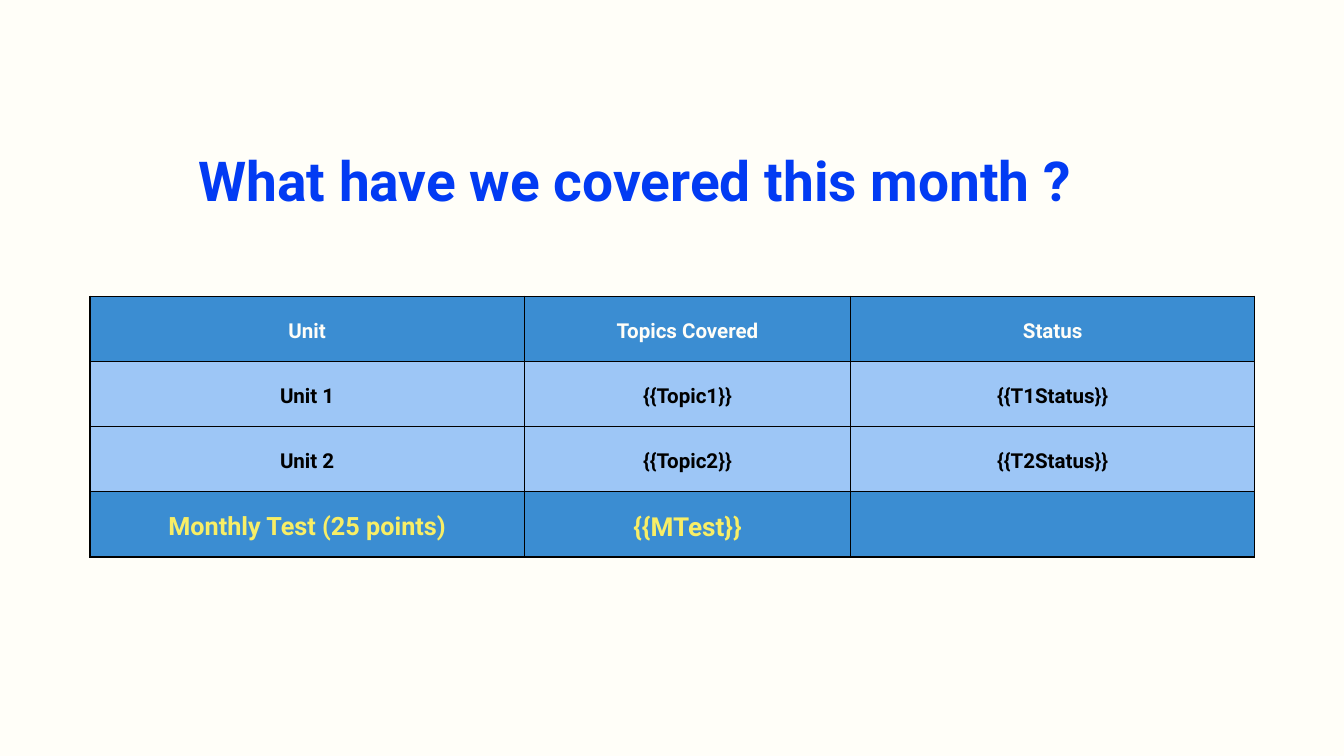
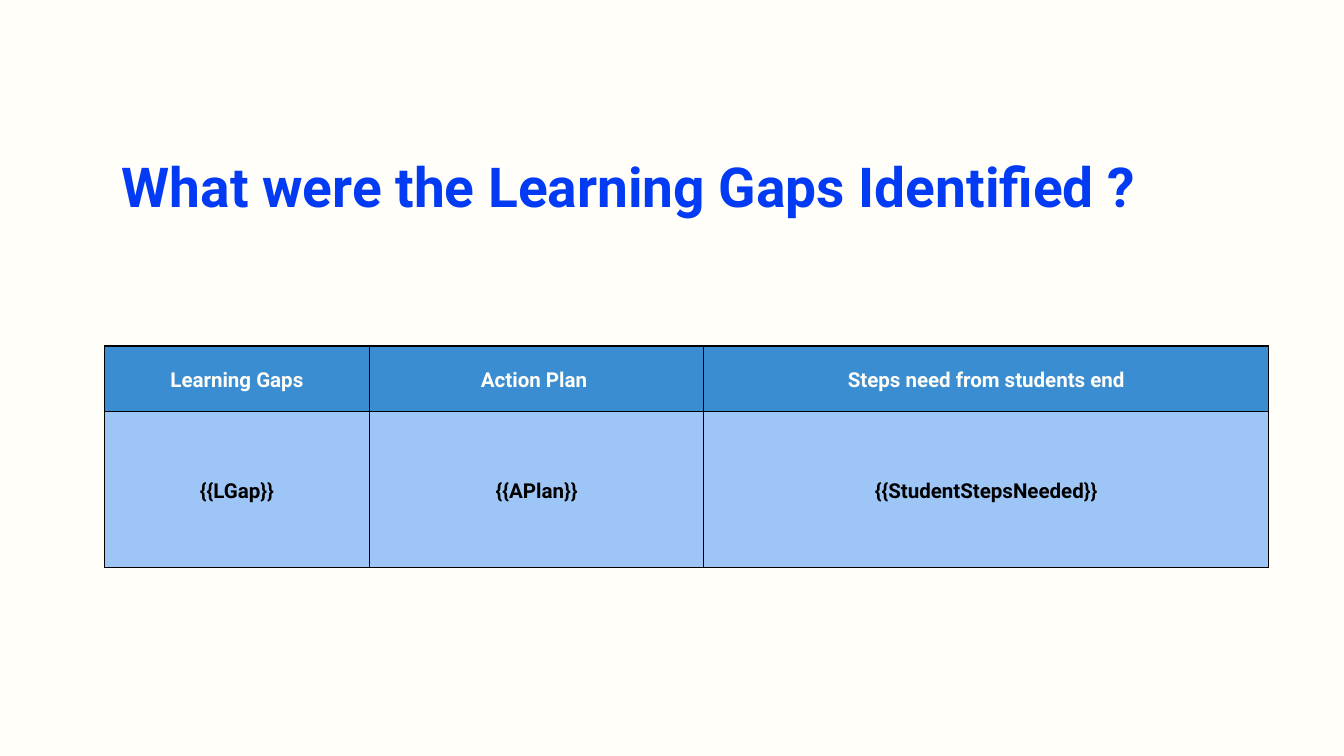
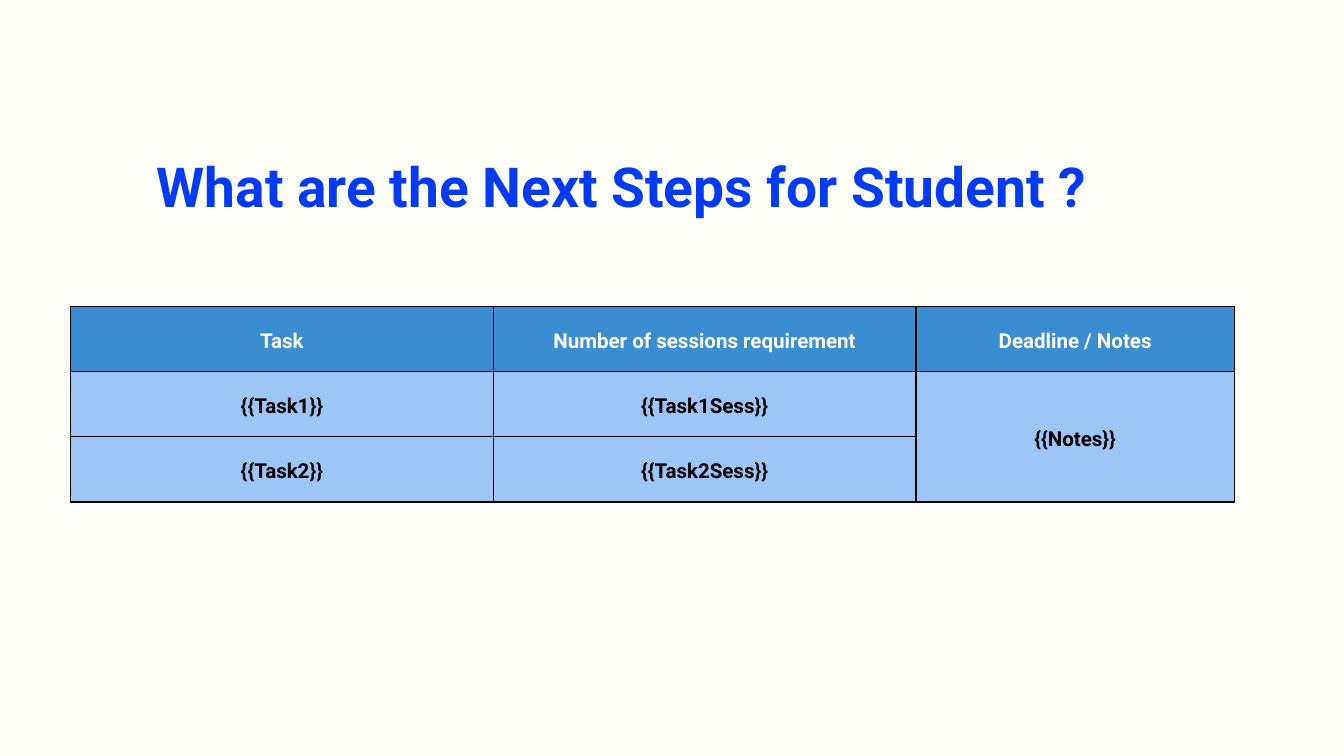
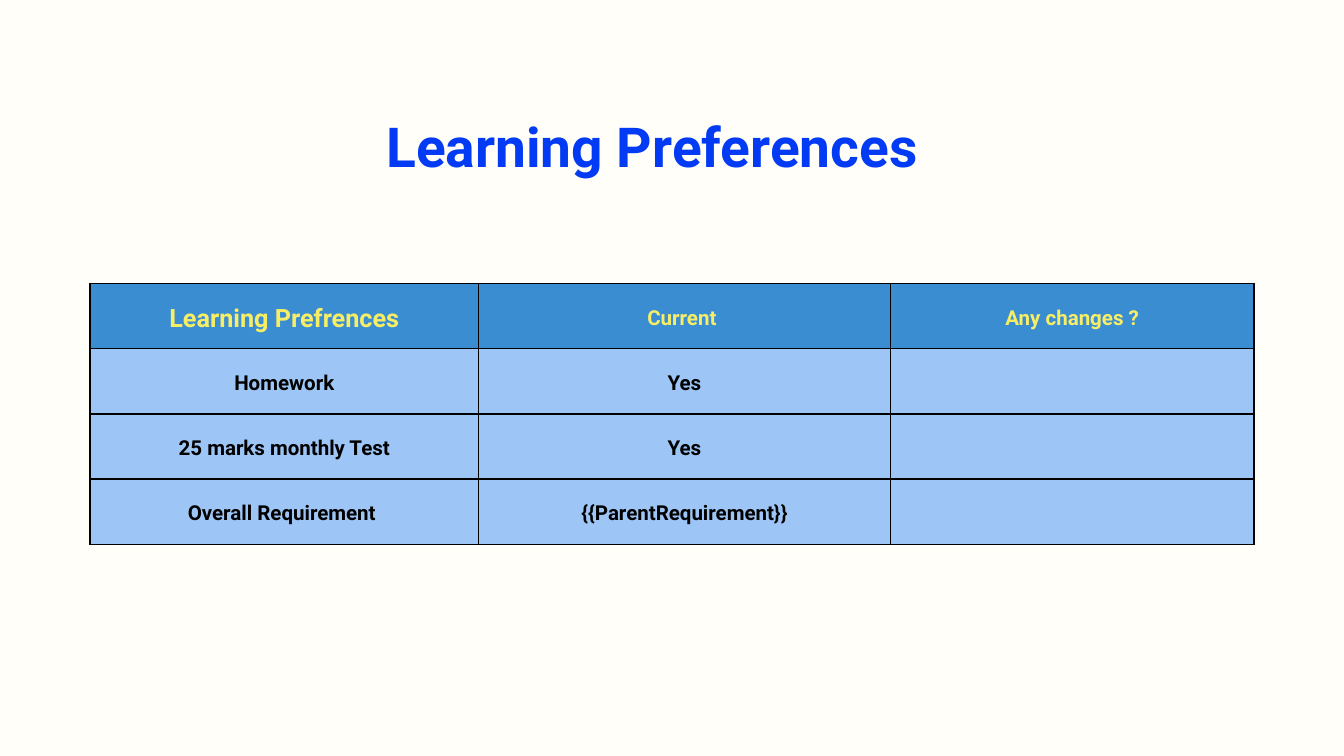
"""Build a four-slide monthly progress review, each slide a title over a table."""
import dataclasses

import pptx
import pptx.dml.color
import pptx.enum.text
import pptx.oxml
import pptx.oxml.ns
import pptx.util

Inches = pptx.util.Inches
Pt = pptx.util.Pt


@dataclasses.dataclass(frozen=True)
class Theme:
    """Colours, type sizes and spacing shared by all slides."""
    font: str = "Roboto"
    cream: str = "FFFEF8"
    title: str = "023BF3"
    strong: str = "3B8DD2"
    pale: str = "9DC6F6"
    black: str = "000000"
    yellow: str = "F8EE66"
    title_size: int = 59
    cell_size: int = 22
    leading: float = 1.4
    border: float = 1.5
    cell_margin: float = 0.12
    row_height: float = 0.97
    title_height: float = 1.1


THEME = Theme()

ROW_STYLES = {
    "header": (THEME.strong, THEME.cream),
    "body": (THEME.pale, THEME.black),
    "accent": (THEME.strong, THEME.yellow),
}

LARGE_TEXT = {"Monthly Test (25 points)": 27, "{{MTest}}": 28, "Learning Prefrences": 27}

SLIDES = [
    {
        "title": "What have we covered this month ?",
        "title_box": (2.95, 2.02, 14.11),
        "table_at": (1.34, 4.41),
        "columns": (6.46, 4.86, 6.01),
        "rows": [
            ("header", ("Unit", "Topics Covered", "Status")),
            ("body", ("Unit 1", "{{Topic1}}", "{{T1Status}}")),
            ("body", ("Unit 2", "{{Topic2}}", "{{T2Status}}")),
            ("accent", ("Monthly Test (25 points)", "{{MTest}}", "")),
        ],
    },
    {
        "title": "What were the Learning Gaps Identified ?",
        "title_box": (1.81, 2.11, 16.38),
        "table_at": (1.55, 5.15),
        "columns": (3.95, 4.97, 8.41),
        "rows": [
            ("header", ("Learning Gaps", "Action Plan ", "Steps need from students end")),
            ("body", ("{{LGap}}", "{{APlan}}", "{{StudentStepsNeeded}}")),
        ],
        "tall_rows": {1: 2.33},
    },
    {
        "title": "What are the Next Steps for Student ?",
        "title_box": (2.33, 2.1, 15.01),
        "table_at": (1.05, 4.56),
        "columns": (6.29, 6.29, 4.74),
        "rows": [
            ("header", ("Task", "Number of sessions requirement", "Deadline / Notes")),
            ("body", ("{{Task1}}", "{{Task1Sess}}", "{{Notes}}")),
            ("body", ("{{Task2}}", "{{Task2Sess}}", "")),
        ],
        "merge": ((1, 2), (2, 2)),
    },
    {
        "title": "Learning Preferences",
        "title_box": (5.75, 1.51, 8.49),
        "table_at": (1.34, 4.22),
        "columns": (5.78, 6.13, 5.41),
        "rows": [
            ("accent", ("Learning Prefrences", "Current ", "Any changes ?")),
            ("body", ("Homework", "Yes", "")),
            ("body", ("25 marks monthly Test", "Yes", "")),
            ("body", ("Overall Requirement ", "{{ParentRequirement}}", "")),
        ],
    },
]


def rgb(colour):
    return pptx.dml.color.RGBColor.from_string(colour)


def write(frame, text, size, colour, align, anchor, margin):
    frame.text = text
    frame.word_wrap = True
    frame.vertical_anchor = anchor
    frame.margin_left = frame.margin_right = Inches(margin)
    frame.margin_top = frame.margin_bottom = Inches(margin)
    paragraph = frame.paragraphs[0]
    paragraph.alignment = align
    paragraph.line_spacing = Pt(size * THEME.leading)
    for run in paragraph.runs:
        run.font.name = THEME.font
        run.font.size = Pt(size)
        run.font.bold = True
        run.font.color.rgb = rgb(colour)


def add_borders(cell):
    properties = cell._tc.get_or_add_tcPr()
    for side in ("lnL", "lnR", "lnT", "lnB"):
        properties.append(pptx.oxml.parse_xml(
            f'<a:{side} {pptx.oxml.ns.nsdecls("a")} w="{Pt(THEME.border)}"><a:solidFill>'
            f'<a:srgbClr val="{THEME.black}"/></a:solidFill></a:{side}>'))


def fill_cell(cell, text, style):
    background, colour = ROW_STYLES[style]
    add_borders(cell)
    cell.fill.solid()
    cell.fill.fore_color.rgb = rgb(background)
    cell.vertical_anchor = pptx.enum.text.MSO_ANCHOR.MIDDLE
    cell.margin_left = cell.margin_right = Inches(THEME.cell_margin)
    cell.margin_top = cell.margin_bottom = Inches(THEME.cell_margin)
    if text:
        write(cell.text_frame, text, LARGE_TEXT.get(text, THEME.cell_size), colour,
              pptx.enum.text.PP_ALIGN.CENTER, pptx.enum.text.MSO_ANCHOR.MIDDLE,
              THEME.cell_margin)


def add_title(slide, text, box):
    title = slide.shapes.title
    title.left, title.top, title.width = map(Inches, box)
    title.height = Inches(THEME.title_height)
    write(title.text_frame, text, THEME.title_size, THEME.title,
          pptx.enum.text.PP_ALIGN.LEFT, pptx.enum.text.MSO_ANCHOR.TOP, 0)
    title.text_frame.auto_size = pptx.enum.text.MSO_AUTO_SIZE.SHAPE_TO_FIT_TEXT


def add_review_table(slide, content):
    rows, columns = content["rows"], content["columns"]
    tall_rows = content.get("tall_rows", {})
    heights = [tall_rows.get(i, THEME.row_height) for i in range(len(rows))]
    left, top = content["table_at"]
    table = slide.shapes.add_table(
        len(rows), len(columns), Inches(left), Inches(top),
        Inches(sum(columns)), Inches(sum(heights))).table
    table.first_row = table.horz_banding = False
    for column, width in zip(table.columns, columns):
        column.width = Inches(width)
    for row, height, (style, texts) in zip(table.rows, heights, rows):
        row.height = Inches(height)
        for cell, text in zip(row.cells, texts):
            fill_cell(cell, text, style)
    if "merge" in content:
        first, last = content["merge"]
        table.cell(*first).merge(table.cell(*last))


def main():
    deck = pptx.Presentation()
    deck.slide_width, deck.slide_height = Inches(20), Inches(11.25)
    backdrop = deck.slide_master.background.fill
    backdrop.solid()
    backdrop.fore_color.rgb = rgb(THEME.cream)
    title_only = deck.slide_layouts.get_by_name("Title Only")
    for content in SLIDES:
        slide = deck.slides.add_slide(title_only)
        add_title(slide, content["title"], content["title_box"])
        add_review_table(slide, content)
    deck.save("out.pptx")


if __name__ == "__main__":
    main()
